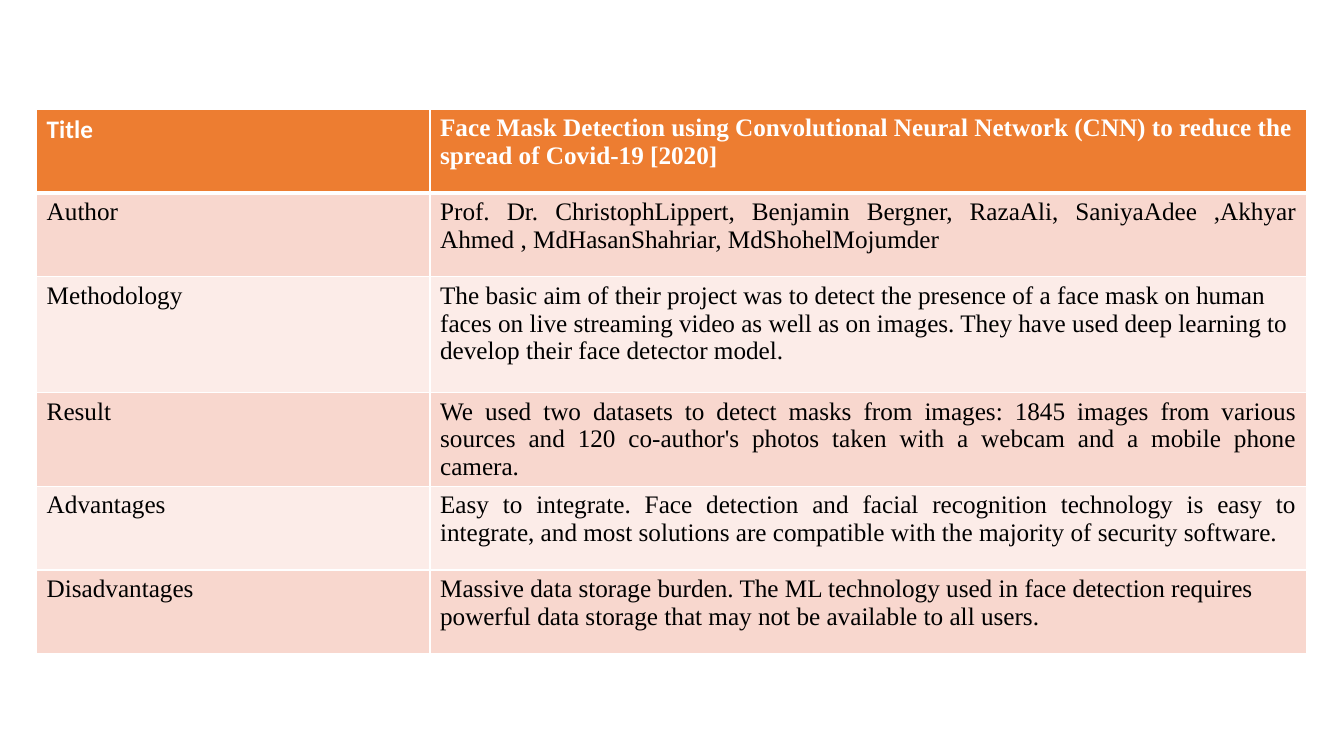
from lxml import etree
from pptx import Presentation
from pptx.dml.color import RGBColor
from pptx.enum.text import PP_ALIGN
from pptx.oxml.ns import qn
from pptx.util import Pt

LEFT, JUSTIFY = PP_ALIGN.LEFT, PP_ALIGN.JUSTIFY

COLOURS = {
    "header": "ED7D31",
    "dark_band": "F8D7CE",
    "light_band": "FCECE8",
    "border": "FFFFFF",
    "header_text": "FFFFFF",
    "body_text": "000000",
}
SERIF, SANS = "Times New Roman", "Calibri"
COLUMN_WIDTHS = [281, 626.2]

# Label, description, description alignment, row height in points
PAPER_ROWS = [
    ("Title",
     "Face Mask Detection using Convolutional Neural Network (CNN) to reduce "
     "the spread of Covid-19 [2020]", LEFT, 59.8),
    ("Author",
     "Prof. Dr. ChristophLippert, Benjamin Bergner, RazaAli, SaniyaAdee ,Akhyar "
     "Ahmed , MdHasanShahriar, MdShohelMojumder", JUSTIFY, 59.8),
    ("Methodology",
     "The basic aim of their project was to detect the presence of a face mask on "
     "human faces on live streaming video as well as on images. They have used deep "
     "learning to develop their face detector model.", LEFT, 82.8),
    ("Result",
     "We used two datasets to detect masks from images: 1845 images from various "
     "sources and 120 co-author's photos taken with a webcam and a mobile phone "
     "camera.", JUSTIFY, 64),
    ("Advantages",
     "Easy to integrate. Face detection and facial recognition technology is easy to "
     "integrate, and most solutions are compatible with the majority of security "
     "software.", JUSTIFY, 59.8),
    ("Disadvantages",
     "Massive data storage burden. The ML technology used in face detection requires "
     "powerful data storage that may not be available to all users.", LEFT, 59.8),
]


def colour(name):
    return RGBColor.from_string(COLOURS[name])


def set_borders(cell, widths):
    """Draw the cell's sides; widths maps L, R, T, B (in that order) to points."""
    properties = cell._tc.get_or_add_tcPr()
    for position, (side, width) in enumerate(widths.items()):
        line = etree.Element(qn(f"a:ln{side}"), w=str(Pt(width)))
        fill = etree.SubElement(line, qn("a:solidFill"))
        etree.SubElement(fill, qn("a:srgbClr"), val=COLOURS["border"])
        properties.insert(position, line)


def fill_cell(cell, text, alignment, fill_name, font_format, border_widths):
    cell.fill.solid()
    cell.fill.fore_color.rgb = colour(fill_name)
    set_borders(cell, border_widths)
    paragraph = cell.text_frame.paragraphs[0]
    paragraph.alignment = alignment
    run = paragraph.add_run()
    run.text = text
    for attribute, value in font_format.items():
        setattr(run.font, attribute, value)
    run.font.color.rgb = colour("header_text" if font_format["bold"] else "body_text")


def add_paper_table(slide):
    heights = [row[-1] for row in PAPER_ROWS]
    frame = slide.shapes.add_table(
        len(PAPER_ROWS), len(COLUMN_WIDTHS),
        Pt(26.2), Pt(78), Pt(sum(COLUMN_WIDTHS)), Pt(sum(heights)))
    table = frame.table
    for column, width in zip(table.columns, COLUMN_WIDTHS):
        column.width = Pt(width)

    for index, (label, description, alignment, height) in enumerate(PAPER_ROWS):
        table.rows[index].height = Pt(height)
        is_header = index == 0
        band = "dark_band" if index % 2 else "light_band"
        fill_name = "header" if is_header else band
        borders = {"L": 1, "R": 1, "T": 3 if index == 1 else 1, "B": 3 if is_header else 1}
        label_font = SANS if is_header else SERIF
        contents = [(label, LEFT, label_font), (description, alignment, SERIF)]
        for cell, (text, cell_alignment, font) in zip(table.rows[index].cells, contents):
            font_format = {"name": font, "size": Pt(18), "bold": is_header}
            fill_cell(cell, text, cell_alignment, fill_name, font_format, borders)


def main():
    presentation = Presentation()
    presentation.slide_width, presentation.slide_height = Pt(960), Pt(540)
    slide = presentation.slides.add_slide(presentation.slide_layouts[6])
    add_paper_table(slide)
    presentation.save("out.pptx")


if __name__ == "__main__":
    main()
